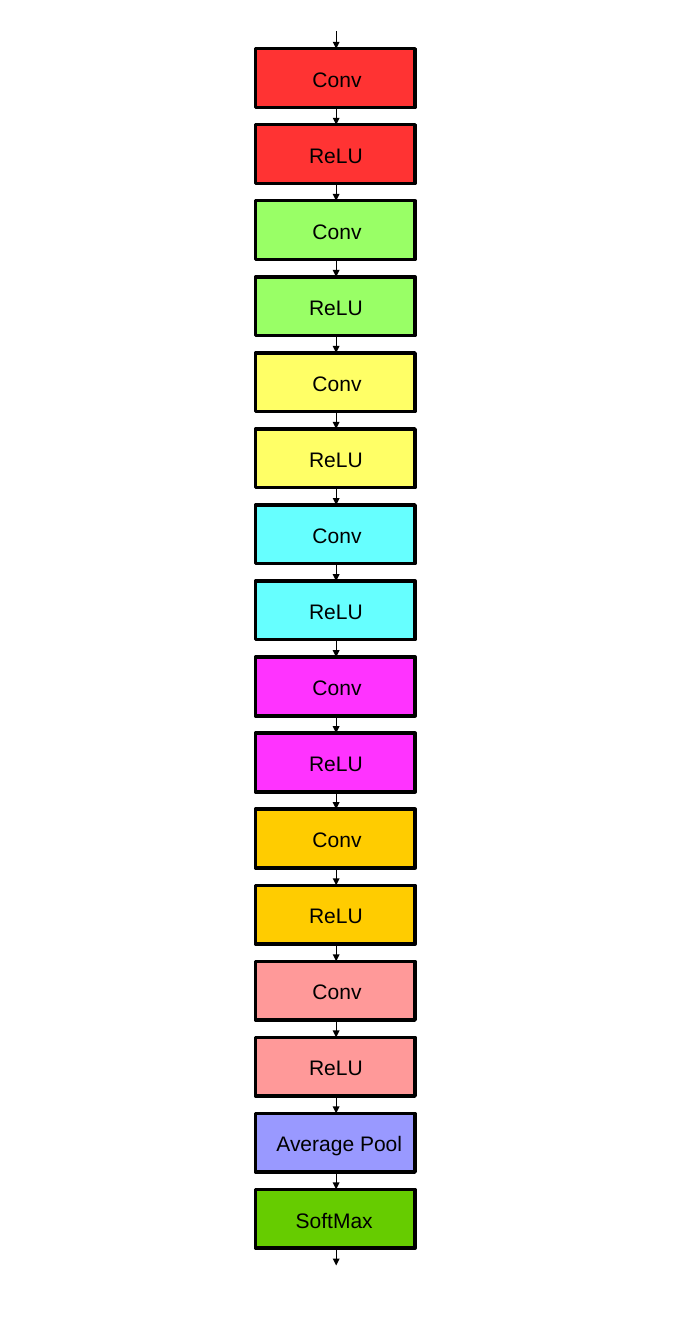
import pptx
import pptx.dml.color
import pptx.enum.shapes
import pptx.enum.text
import pptx.oxml
import pptx.oxml.ns
import pptx.util

WIDE, HIGH = 8.27, 16
TOP, STEP = 0.58, 13.58 / 15
LEFT, BOX_W, BOX_H = 3.04, 1.9, 0.7
MID = 4
INK = "000000"
LABELS = {
    "Conv": (3.62, 0.78),
    "ReLU": (3.58, 0.84),
    "Average Pool": (3.19, 1.69),
    "SoftMax": (3.42, 1.11),
}
PAIRS = ["FF3333", "99FF66", "FFFF66", "66FFFF", "FF33FF", "FFCC00", "FF9999"]


def color(code):
    return pptx.dml.color.RGBColor.from_string(code)


class Stack:
    def __init__(self, slide, font="Arial", size=18, edge=2.89):
        self.slide = slide
        self.font = font
        self.size = size
        self.edge = edge

    def top(self, row):
        return TOP + row * STEP

    def block(self, row, fill):
        spot = map(pptx.util.Inches, (LEFT, self.top(row), BOX_W, BOX_H))
        box = self.slide.shapes.add_shape(
            pptx.enum.shapes.MSO_SHAPE.RECTANGLE, *spot)
        box.shadow.inherit = False
        box.fill.solid()
        box.fill.fore_color.rgb = color(fill)
        box.line.color.rgb = color(INK)
        box.line.width = pptx.util.Pt(self.edge)

    def label(self, row, text):
        left, width = LABELS[text]
        spot = map(pptx.util.Inches, (left, self.top(row) + 0.16, width, 0.38))
        frame = self.slide.shapes.add_textbox(*spot).text_frame
        frame.word_wrap = False
        frame.auto_size = pptx.enum.text.MSO_AUTO_SIZE.SHAPE_TO_FIT_TEXT
        frame.margin_right = pptx.util.Inches(0.05)
        frame.text = text
        font = frame.paragraphs[0].runs[0].font
        font.name = self.font
        font.size = pptx.util.Pt(self.size)
        font.color.rgb = color(INK)

    def arrow(self, row):
        end = self.top(row)
        spot = map(pptx.util.Inches, (MID, end - STEP + BOX_H, MID, end))
        link = self.slide.shapes.add_connector(
            pptx.enum.shapes.MSO_CONNECTOR.STRAIGHT, *spot)
        link.line.color.rgb = color(INK)
        edge = link.line._get_or_add_ln()
        edge.set("w", "0")
        edge.append(pptx.oxml.parse_xml(
            f'<a:tailEnd {pptx.oxml.ns.nsdecls("a")} type="triangle"/>'))
        link._element.spPr.append(pptx.oxml.parse_xml(
            f'<a:effectLst {pptx.oxml.ns.nsdecls("a")}/>'))


def main():
    deck = pptx.Presentation()
    deck.slide_width = pptx.util.Inches(WIDE)
    deck.slide_height = pptx.util.Inches(HIGH)
    stack = Stack(deck.slides.add_slide(deck.slide_layouts[6]))

    layers = [(text, fill) for fill in PAIRS for text in ("Conv", "ReLU")]
    layers += [("Average Pool", "9999FF"), ("SoftMax", "66CC00")]
    for row, (text, fill) in enumerate(layers):
        stack.block(row, fill)
        stack.label(row, text)
    for row in range(len(layers) + 1):
        stack.arrow(row)

    deck.save("out.pptx")


if __name__ == "__main__":
    main()
